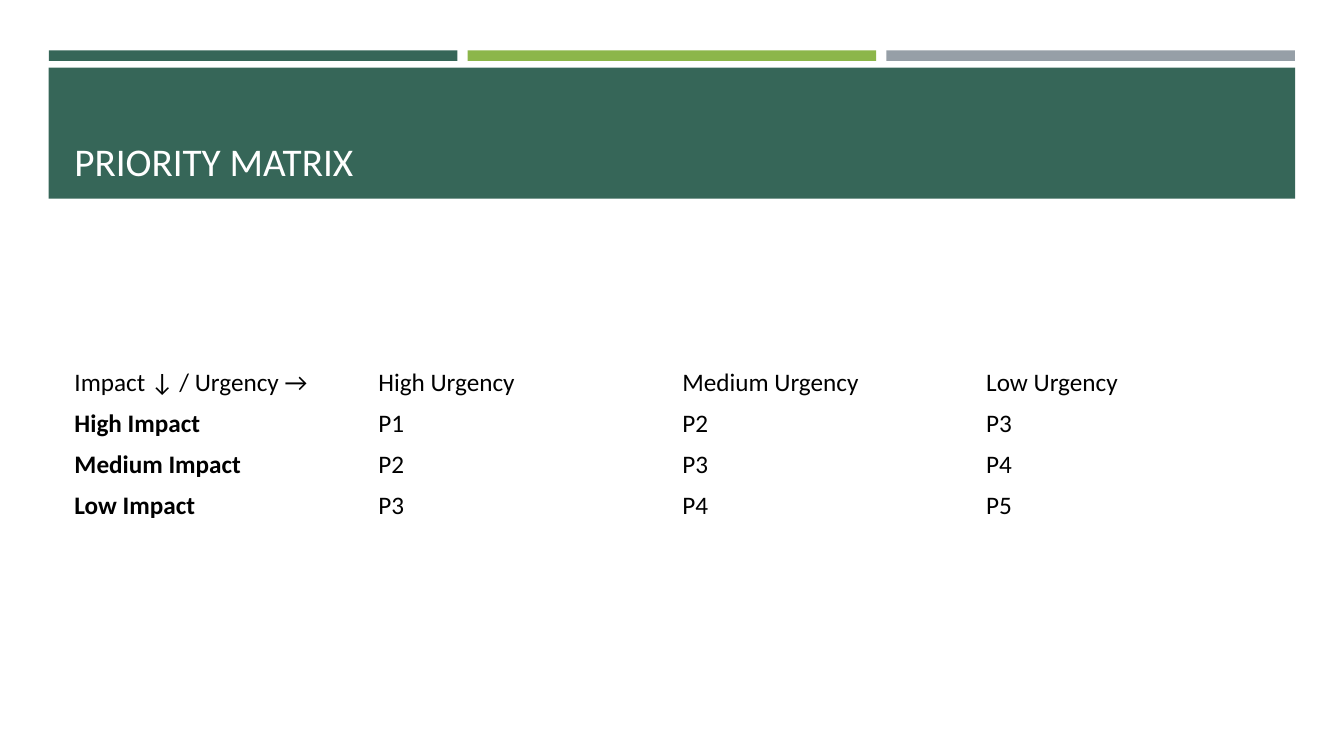
from pptx import Presentation
from pptx.dml.color import RGBColor
from pptx.enum.shapes import MSO_SHAPE as SHAPE
from pptx.enum.text import MSO_ANCHOR as ANCHOR
from pptx.util import Pt

# Content
TITLE = "PRIORITY MATRIX"
MATRIX = [
    ["Impact ↓ / Urgency →", "High Urgency", "Medium Urgency", "Low Urgency"],
    ["High Impact", "P1", "P2", "P3"],
    ["Medium Impact", "P2", "P3", "P4"],
    ["Low Impact", "P3", "P4", "P5"],
]

# Style
FONT = "Calibri"
GREEN = RGBColor(0x36, 0x66, 0x58)
LIME = RGBColor(0x8C, 0xB6, 0x4A)
GRAY = RGBColor(0x96, 0x9F, 0xA7)
WHITE = RGBColor(0xFF, 0xFF, 0xFF)
BLACK = RGBColor(0, 0, 0)

# Layout, in points
BAND_LEFT, BAND_TOP, BAND_W, BAND_H = 34.8, 48.3, 890.4, 93.7
BAR_LEFT, BAR_TOP, BAR_W, BAR_H, BAR_STEP = 35, 36, 291.8, 7.5, 299.1
TEXT_LEFT, TEXT_W = 46, 868.4
TITLE_TOP, TITLE_H = 55.4, 79.9
TABLE_TOP, ROW_H = 259.2, 29.2

prs = Presentation()
prs.slide_width, prs.slide_height = Pt(960), Pt(540)
s = prs.slides.add_slide(prs.slide_layouts[6])


def add_block(left, top, width, height, color):
    sp = s.shapes.add_shape(SHAPE.RECTANGLE, Pt(left), Pt(top), Pt(width), Pt(height))
    sp.shadow.inherit = False
    sp.fill.solid()
    sp.fill.fore_color.rgb = color
    sp.line.fill.background()


def add_text(p, text, size, color, bold=False):
    r = p.add_run()
    r.text = text
    r.font.name, r.font.size, r.font.bold = FONT, Pt(size), bold
    r.font.color.rgb = color


# Accent bars and title band
for i, color in enumerate([GREEN, LIME, GRAY]):
    add_block(BAR_LEFT + i * BAR_STEP, BAR_TOP, BAR_W, BAR_H, color)
add_block(BAND_LEFT, BAND_TOP, BAND_W, BAND_H, GREEN)

# Title
tf = s.shapes.add_textbox(Pt(TEXT_LEFT), Pt(TITLE_TOP), Pt(TEXT_W), Pt(TITLE_H)).text_frame
tf.word_wrap = True
tf.vertical_anchor = ANCHOR.BOTTOM
add_text(tf.paragraphs[0], TITLE, 28, WHITE)

# Priority table
rows, cols = len(MATRIX), len(MATRIX[0])
table = s.shapes.add_table(rows, cols, Pt(TEXT_LEFT), Pt(TABLE_TOP),
                           Pt(TEXT_W), Pt(ROW_H * rows)).table
table.first_row = table.horz_banding = False
for i, row in enumerate(MATRIX):
    for j, text in enumerate(row):
        cell = table.cell(i, j)
        cell.fill.background()
        cell.vertical_anchor = ANCHOR.MIDDLE
        add_text(cell.text_frame.paragraphs[0], text, 18, BLACK, bold=i > 0 and j == 0)

prs.save("out.pptx")
